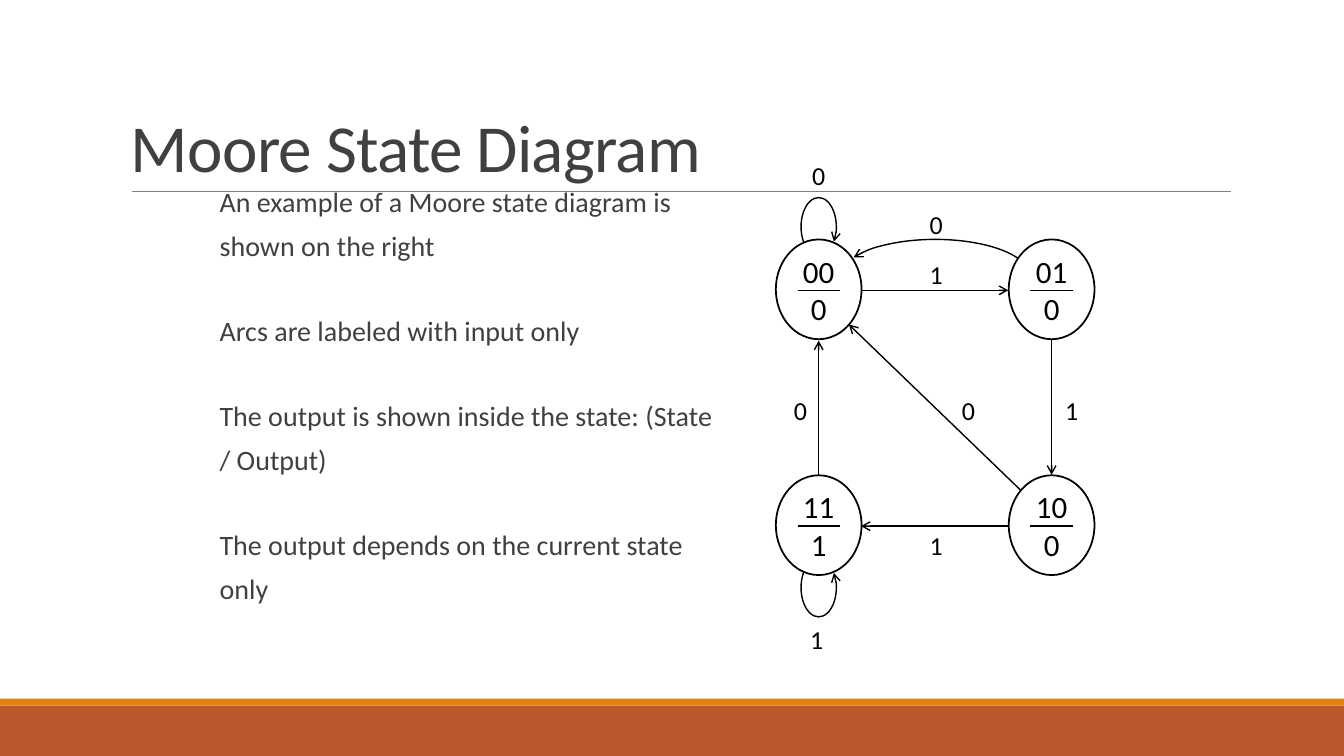
from lxml import etree
from pptx import Presentation, util as u
from pptx.dml.color import RGBColor
from pptx.enum import shapes, text
from pptx.oxml.ns import qn

W, H = 13.33, 7.5
COL, ROW = 2.31, 2.34
STATE_W, STATE_H = 0.85, 0.99
BLACK, GREY = "000000", "404040"
BODY = [
    "An example of a Moore state diagram is shown on the right",
    "Arcs are labeled with input only",
    "The output is shown inside the state: (State / Output)",
    "The output depends on the current state only",
]
STATES = [("00", "0", 0, 0), ("01", "0", 1, 0), ("10", "0", 1, 1), ("11", "1", 0, 1)]
ARROWS = [
    ((0, 0, 0.03, 0.01), (1, 0, -0.43, 0.01)),
    ((1, 0, 0, 0.14), (1, 1, 0, -0.5)),
    ((1, 1, -0.04, 0.01), (0, 1, 0.42, 0.01)),
    ((0, 1, 0, -0.13), (0, 0, 0, 0.51)),
    ((1, 1, -0.31, -0.35), (0, 0, 0.3, 0.35)),
]
INPUTS = [
    ("0", 0, 0, 0, -1.13),
    ("0", 0.5, 0, 0.01, -0.65),
    ("1", 0.5, 0, 0.01, -0.15),
    ("1", 1, 0.5, 0.2, 0.03),
    ("1", 0.5, 1, 0.01, 0.2),
    ("0", 0, 0.5, -0.18, 0.03),
    ("0", 0.5, 0.5, 0.33, 0.03),
    ("1", 0, 1, -0.02, 1.13),
]


def color(value):
    """Turn a hex string into a colour."""
    return RGBColor.from_string(value)


def share(x, y, w, h):
    """Turn percentages of the slide into lengths."""
    return [u.Inches(v * size / 100) for v, size in zip((x, y, w, h), (W, H, W, H))]


def spot(c, r, dx=0, dy=0):
    """Locate a point near a column and row of the state grid, in inches."""
    return 8.12 + COL * c + dx, 2.87 + ROW * r + dy


def around(point, w, h):
    """Box of a given size centred on a point."""
    x, y = point
    return [u.Inches(v) for v in (x - w / 2, y - h / 2, w, h)]


def add_arrowhead(s, end):
    """Put an open arrowhead on one end of a line."""
    ln = s._element.spPr.find(qn("a:ln"))
    etree.SubElement(ln, qn(f"a:{end}End"), type="arrow")


def add_text(s, lines, size, fill, align=None, anchor=text.MSO_ANCHOR.TOP, inset=0.0):
    """Write one paragraph per line into a shape and return the paragraphs."""
    tf = s.text_frame
    tf.word_wrap = True
    tf.vertical_anchor = anchor
    tf.margin_left, tf.margin_right = u.Inches(inset), 0
    tf.margin_top = tf.margin_bottom = u.Inches(0.05)
    for i, line in enumerate(lines):
        p = tf.add_paragraph() if i else tf.paragraphs[0]
        p.alignment = align
        r = p.add_run()
        r.text = line
        r.font.name, r.font.size = "Calibri", u.Pt(size)
        r.font.color.rgb = color(fill)
    return tf.paragraphs


def add_shape(sp, kind, box, fill=None, width=0):
    """Add a preset shape with an optional fill and black outline."""
    s = sp.add_shape(kind, *box)
    s.shadow.inherit = False
    if fill:
        s.fill.solid()
        s.fill.fore_color.rgb = color(fill)
    else:
        s.fill.background()
    if width:
        s.line.color.rgb = color(BLACK)
        s.line.width = u.Pt(width)
    else:
        s.line.fill.background()
    return s


def add_line(sp, start, end, stroke=BLACK, width=1.0):
    """Add a straight line between two points in inches."""
    s = sp.add_connector(shapes.MSO_CONNECTOR.STRAIGHT, *map(u.Inches, (*start, *end)))
    s.line.color.rgb = color(stroke)
    s.line.width = u.Pt(width)
    etree.SubElement(s._element.spPr, qn("a:effectLst"))
    return s


def add_arc(sp, box, angles, end, flip=False):
    """Add a curved transition with one arrowhead."""
    s = add_shape(sp, shapes.MSO_SHAPE.ARC, box, width=1)
    s.adjustments[0], s.adjustments[1] = angles
    add_arrowhead(s, end)
    if flip:
        s._element.spPr.xfrm.set("flipV", "1")


def add_state(sp, name, output, c, r):
    """Add a state circle with its name above its output."""
    s = add_shape(sp, shapes.MSO_SHAPE.OVAL, around(spot(c, r), STATE_W, STATE_H), "FFFFFF", 1.25)
    add_text(s, [name, output], 22.1, BLACK, text.PP_ALIGN.CENTER, text.MSO_ANCHOR.MIDDLE)
    add_line(sp, spot(c, r, -0.21, 0.01), spot(c, r, 0.21, 0.01))


def add_input(sp, label, *place):
    """Add the input label of a transition."""
    s = sp.add_textbox(*around(spot(*place), 0.43, 0.31))
    add_text(s, [label], 18.5, BLACK, text.PP_ALIGN.CENTER, text.MSO_ANCHOR.MIDDLE)


def add_frame(sp):
    """Add the footer bars, the title rule, the title and the body text."""
    add_shape(sp, shapes.MSO_SHAPE.RECTANGLE, share(0, 93.33, 100, 6.67), "BD582C")
    add_shape(sp, shapes.MSO_SHAPE.RECTANGLE, share(0, 92.4, 100, 0.93), "E48312")
    add_line(sp, (1.31, 1.9), (12.21, 1.9), "808080", 0.5)
    title = sp.add_textbox(*share(9, 4.13, 82.52, 21.2))
    p = add_text(title, ["Moore State Diagram"], 48, GREY, anchor=text.MSO_ANCHOR.BOTTOM, inset=0.1)[0]
    p.line_spacing = 0.85
    p.runs[0].font._element.set("spc", "-50")
    body = sp.add_textbox(*share(15.6, 22.4, 37.5, 64))
    for p in add_text(body, BODY, 20, GREY, inset=0.1):
        p.line_spacing = 1.3
        p.space_before, p.space_after = u.Pt(27.7), u.Pt(2)


def main():
    """Build the slide and save it."""
    prs = Presentation()
    prs.slide_width, prs.slide_height = u.Inches(W), u.Inches(H)
    sp = prs.slides.add_slide(prs.slide_layouts[6]).shapes
    add_frame(sp)
    add_arc(sp, around(spot(0.5, 0, 0, -0.13), 1.88, 0.73), (115.8, 209.3), "head")
    for r, dy in ((0, -0.62), (1, 0.62)):
        add_arc(sp, around(spot(0, r, 0, dy), 0.35, 0.58), (80.3, 26.56), "tail", flip=r == 1)
    for start, end in ARROWS:
        add_arrowhead(add_line(sp, spot(*start), spot(*end)), "tail")
    for state in STATES:
        add_state(sp, *state)
    for label in INPUTS:
        add_input(sp, *label)
    prs.save("out.pptx")


if __name__ == "__main__":
    main()
